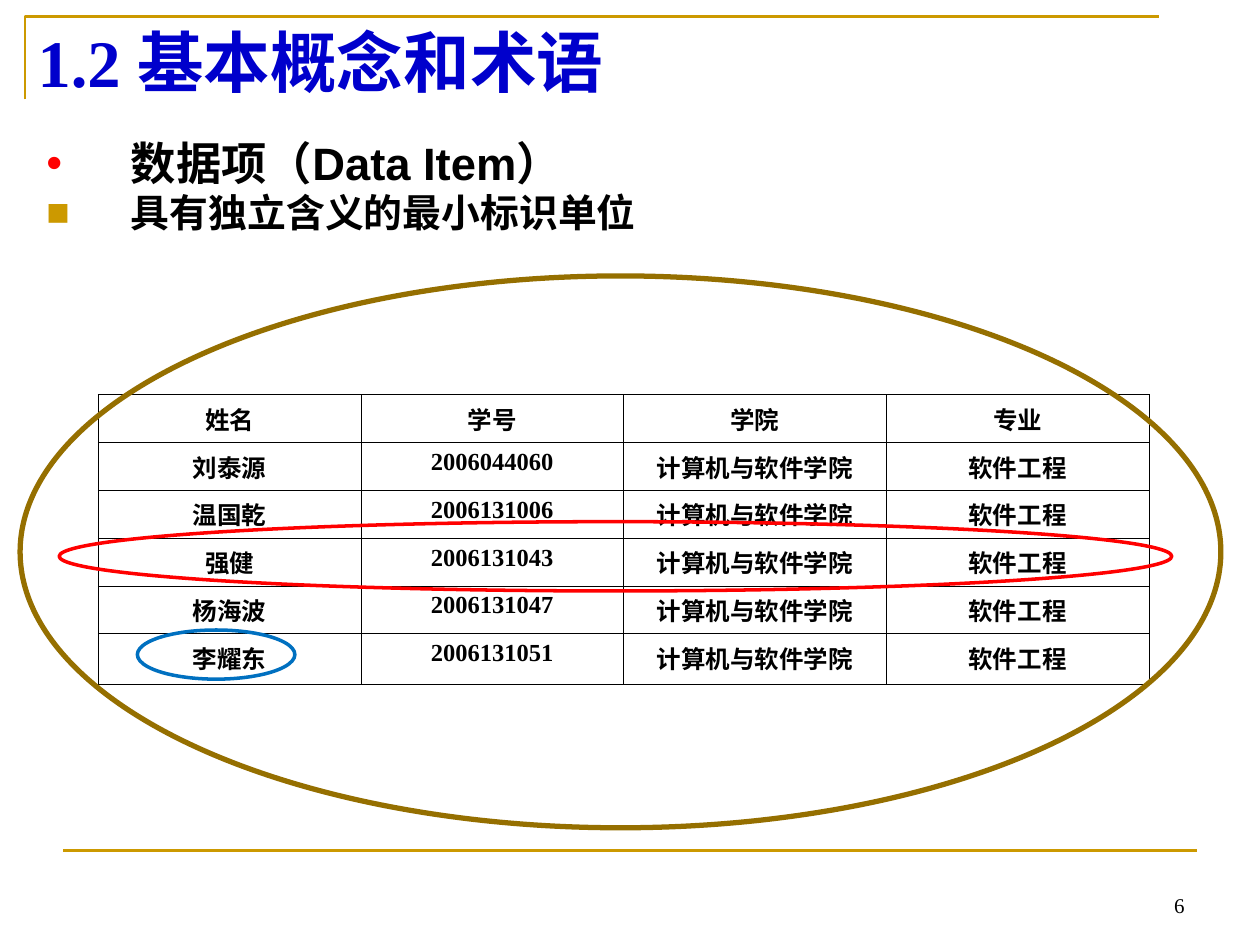
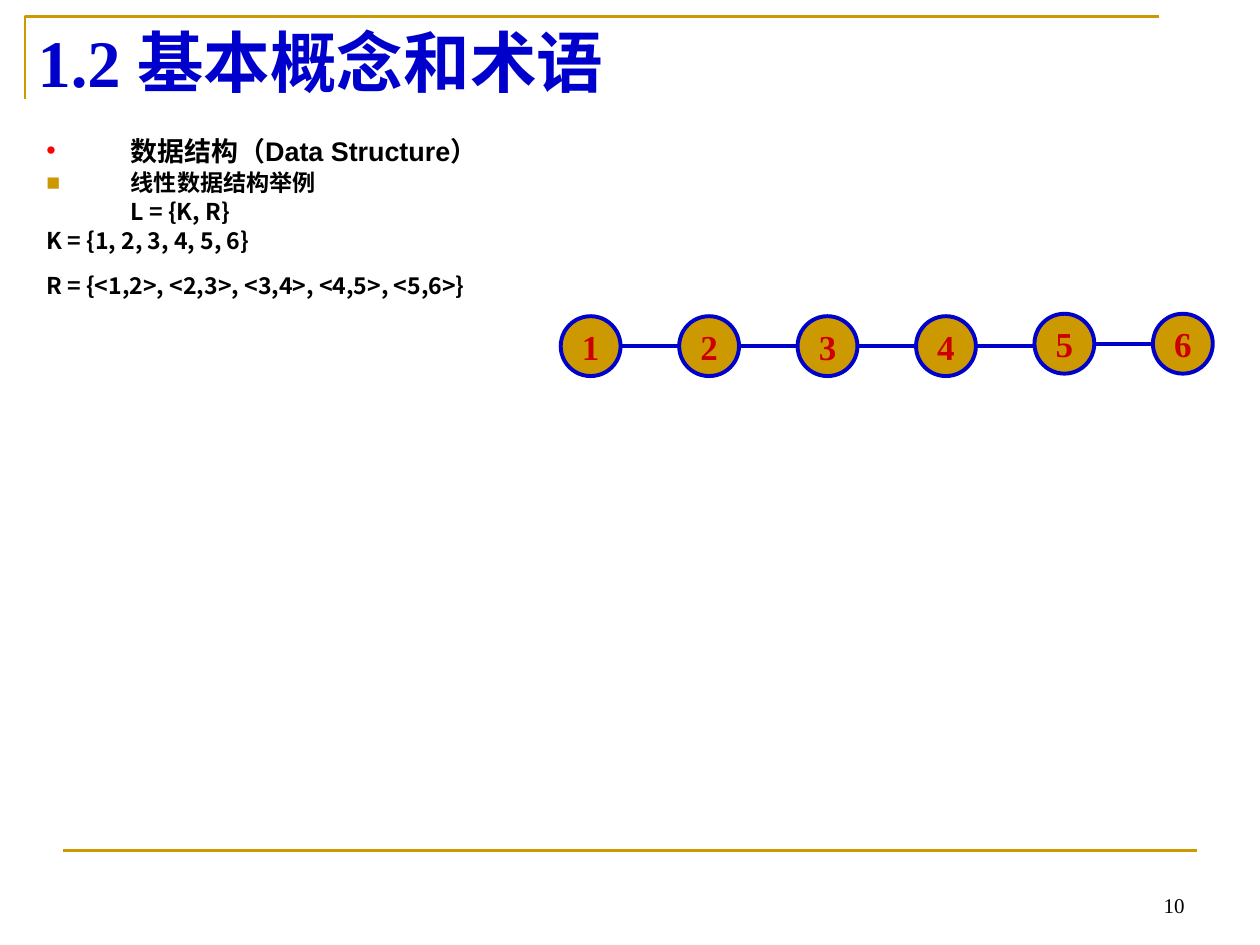
from pptx import Presentation
from pptx.dml.color import RGBColor
from pptx.enum.shapes import MSO_CONNECTOR, MSO_SHAPE
from pptx.enum.text import MSO_ANCHOR, PP_ALIGN
from pptx.oxml.ns import qn
from pptx.util import Inches, Pt
from lxml.etree import SubElement

# Shared look
GOLD, BLUE, RED, BLACK = "CC9900", "0000CC", "FF0000", "000000"
SERIF, SANS, HAN = "Times New Roman", "Arial", "Noto Sans CJK SC"
TITLE = "1.2 基本概念和术语"

# The slide is a grid of 100 columns by 75 rows of square cells
WIDE, HIGH = Inches(10), Inches(7.5)
COLS, ROWS = 100, 75


def col(n):
    return round(WIDE * n / COLS)


def row(n):
    return round(HIGH * n / ROWS)


def area(left, top, width, height):
    return col(left), row(top), col(width), row(height)


def color(code):
    return RGBColor.from_string(code)


def style(para, size, face=SERIF, ink=BLACK, bold=True):
    font = para.font
    font.size, font.name, font.bold = Pt(size), face, bold
    font.color.rgb = color(ink)
    props = para._p.pPr.find(qn("a:defRPr"))
    SubElement(props, qn("a:ea")).set("typeface", HAN)


def stroke(shape, ink, width):
    shape.line.color.rgb = color(ink)
    shape.line.width = Pt(width)


def label(slide, place, text, size, ink, bold, align, anchor):
    frame = slide.shapes.add_textbox(*area(*place)).text_frame
    frame.word_wrap = True
    frame.vertical_anchor = anchor
    para = frame.paragraphs[0]
    para.text, para.alignment = text, align
    style(para, size, ink=ink, bold=bold)


def rule(slide, x1, y1, x2, y2, ink, width):
    line = slide.shapes.add_connector(
        MSO_CONNECTOR.STRAIGHT, col(x1), row(y1), col(x2), row(y2))
    stroke(line, ink, width)
    SubElement(line._element.spPr, qn("a:effectLst"))


def oval(slide, place, ink, width, fill=None):
    shape = slide.shapes.add_shape(MSO_SHAPE.OVAL, *area(*place))
    shape.shadow.inherit = False
    if fill:
        shape.fill.solid()
        shape.fill.fore_color.rgb = color(fill)
    else:
        shape.fill.background()
    stroke(shape, ink, width)
    return shape


def corner(slide):
    pen = slide.shapes.build_freeform(col(2), row(7.9))
    pen.add_line_segments([(col(2), row(1.3)), (col(92), row(1.3))], close=False)
    shape = pen.convert_to_shape()
    shape.shadow.inherit = False
    shape.fill.background()
    stroke(shape, GOLD, 1.5)


def start(deck, number):
    """Add a slide with the frame, page number and title."""
    slide = deck.slides.add_slide(deck.slide_layouts[6])
    corner(slide)
    rule(slide, 5, 67.5, 95, 67.5, GOLD, 1.5)
    label(slide, (71.7, 68.3, 23.3, 5), str(number), 12, BLACK, False,
          PP_ALIGN.RIGHT, MSO_ANCHOR.BOTTOM)
    label(slide, (2, 1.3, 90, 7.1), TITLE, 38, BLUE, True,
          PP_ALIGN.LEFT, MSO_ANCHOR.MIDDLE)
    return slide


def bullet(para, mark, ink):
    props = para._p.get_or_add_pPr()
    tint = SubElement(props, qn("a:buClr"))
    SubElement(tint, qn("a:srgbClr")).set("val", ink)
    SubElement(props, qn("a:buFont")).set("typeface", SANS)
    SubElement(props, qn("a:buChar")).set("char", mark)


def body(slide, place, head, lines, sizes, spacing):
    """Write a heading, then (text, space before) lines, the first bulleted."""
    frame = slide.shapes.add_textbox(*area(*place)).text_frame
    frame.word_wrap = True
    for i, (text, gap) in enumerate([(head, 0)] + lines):
        para = frame.paragraphs[0] if i == 0 else frame.add_paragraph()
        para.text = text
        para.line_spacing, para.space_before = spacing, Pt(gap)
        props = para._p.get_or_add_pPr()
        props.set("marL", str(col(6.7)))
        props.set("indent", str(-col(6.7)))
        if i < 2:
            bullet(para, *[("•", RED), ("■", GOLD)][i])
        style(para, sizes[min(i, 1)], SANS if i == 0 else HAN)


def border(cell):
    props = cell._tc.get_or_add_tcPr()
    for i, side in enumerate(("lnL", "lnR", "lnT", "lnB")):
        line = props.makeelement(qn("a:" + side), {"w": str(Pt(0.45))})
        fill = SubElement(line, qn("a:solidFill"))
        SubElement(fill, qn("a:srgbClr")).set("val", BLACK)
        props.insert(i, line)


def grid(slide, place, data):
    table = slide.shapes.add_table(
        len(data), len(data[0]), *area(*place)).table
    table.first_row = table.horz_banding = False
    for line, texts in zip(table.rows, data):
        line.height = row(3.8)
        for cell, text in zip(line.cells, texts):
            cell.fill.background()
            border(cell)
            para = cell.text_frame.paragraphs[0]
            para.text, para.alignment = text, PP_ALIGN.CENTER
            style(para, 14)
    table.rows[len(data) - 1].height = row(4)


def chain(slide, left, tops, size, pitch):
    """Draw numbered nodes joined by lines."""
    for i, top in enumerate(tops):
        x, mid = left + i * pitch, top + size / 2
        if i < len(tops) - 1:
            rule(slide, x + size, mid, x + pitch, mid, BLUE, 2.25)
        node = oval(slide, (x, top, size, size), BLUE, 2.25, GOLD)
        frame = node.text_frame
        frame.word_wrap = False
        frame.vertical_anchor = MSO_ANCHOR.MIDDLE
        para = frame.paragraphs[0]
        para.text, para.alignment = str(i + 1), PP_ALIGN.CENTER
        style(para, 20, ink="CC0000")


def main():
    deck = Presentation()
    deck.slide_width, deck.slide_height = WIDE, HIGH

    # Data item: student table with the set, a record and an item circled
    slide = start(deck, 6)
    body(slide, (2.7, 10.7, 83.5, 10.4), "数据项（Data Item）",
         [("具有独立含义的最小标识单位", 2)], (25.9, 22.2), 0.9)
    people = [("刘泰源", "2006044060"), ("温国乾", "2006131006"),
              ("强健", "2006131043"), ("杨海波", "2006131047"),
              ("李耀东", "2006131051")]
    data = [("姓名", "学号", "学院", "专业")]
    data += [(*who, "计算机与软件学院", "软件工程") for who in people]
    grid(slide, (7.8, 31.3, 83.4, 22.9), data)
    oval(slide, (1.6, 21.9, 95.3, 43.8), "956F00", 3)
    oval(slide, (4.7, 41.4, 88.3, 5.5), RED, 2)
    oval(slide, (10.9, 50, 12.5, 3.9), "0070C0", 2)

    # Data structure: a linear chain
    slide = start(deck, 10)
    body(slide, (2.7, 10.7, 74, 26), "数据结构（Data Structure）",
         [("线性数据结构举例", 4), ("\tL = {K, R}", 4),
          ("K = {1, 2, 3, 4, 5, 6}", 4),
          ("R = {<1,2>, <2,3>, <3,4>, <4,5>, <5,6>}", 12.5)],
         (15.4, 13.2), 0.8)
    chain(slide, 44.5, [25.1] * 4 + [24.9] * 2, 4.75, 9.4)

    deck.save("out.pptx")


if __name__ == "__main__":
    main()
